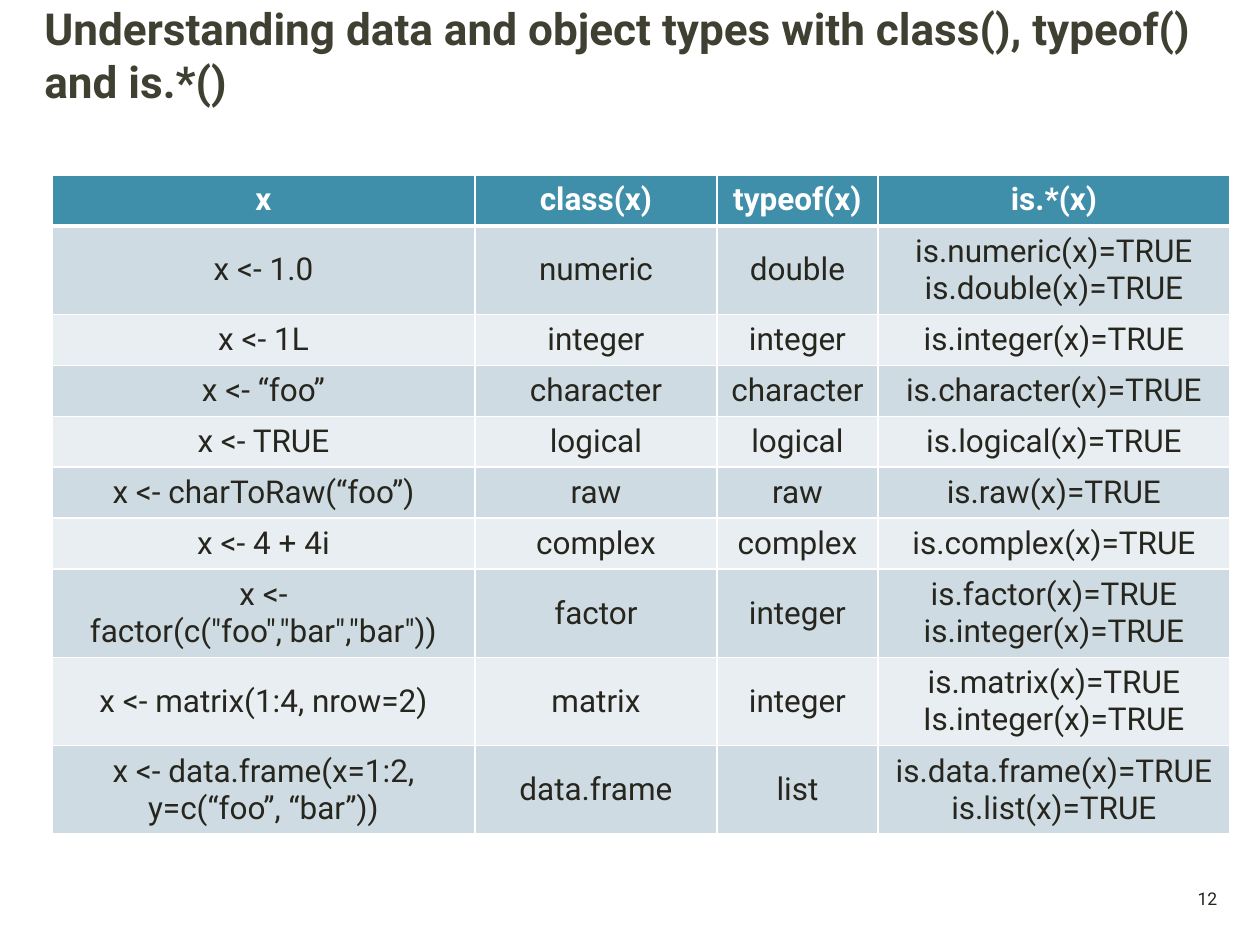
from dataclasses import dataclass

from lxml.etree import SubElement
from pptx import Presentation
from pptx.dml.color import RGBColor
from pptx.enum.text import MSO_ANCHOR, PP_ALIGN
from pptx.oxml.ns import qn
from pptx.util import Emu, Pt

PX_PER_INCH = 126
EMU_PER_PX = 914400 / PX_PER_INCH
FONT = "Roboto"
WHITE = "FFFFFF"
INK = "26261E"
TITLE_INK = "3F3F32"
HEADER_FILL = "3F8FAB"
BAND_FILLS = ("CFDBE2", "E8EEF1")
COLUMN_WIDTHS = (423, 242, 161, 352)
SINGLE_ROW, DOUBLE_ROW = 51, 86


@dataclass(frozen=True)
class TypeRow:
    expression: str
    class_name: str
    type_name: str
    checks: str
    height: int = SINGLE_ROW

    def texts(self) -> tuple[str, ...]:
        return self.expression, self.class_name, self.type_name, self.checks


HEADER = TypeRow("x", "class(x)", "typeof(x)", "is.*(x)")
ROWS = (
    TypeRow("x <- 1.0", "numeric", "double",
            "is.numeric(x)=TRUE\vis.double(x)=TRUE", DOUBLE_ROW),
    TypeRow("x <- 1L", "integer", "integer", "is.integer(x)=TRUE"),
    TypeRow("x <- “foo”", "character", "character", "is.character(x)=TRUE"),
    TypeRow("x <- TRUE", "logical", "logical", "is.logical(x)=TRUE"),
    TypeRow("x <- charToRaw(“foo”)", "raw", "raw", "is.raw(x)=TRUE"),
    TypeRow("x <- 4 + 4i", "complex", "complex", "is.complex(x)=TRUE"),
    TypeRow('x <- factor(c("foo","bar","bar"))', "factor", "integer",
            "is.factor(x)=TRUE\vis.integer(x)=TRUE", DOUBLE_ROW),
    TypeRow("x <- matrix(1:4, nrow=2)", "matrix", "integer",
            "is.matrix(x)=TRUE\nIs.integer(x)=TRUE", DOUBLE_ROW),
    TypeRow("x <- data.frame(x=1:2, y=c(“foo”, “bar”))", "data.frame", "list",
            "is.data.frame(x)=TRUE\nis.list(x)=TRUE", DOUBLE_ROW),
)


def px(length: int) -> Emu:
    return Emu(round(length * EMU_PER_PX))


def color(value: str) -> RGBColor:
    return RGBColor.from_string(value)


def write_text(frame, text: str, *, size: float, ink: str = INK,
               bold: bool = False, align=PP_ALIGN.CENTER) -> None:
    frame.text = text
    frame.word_wrap = True
    for paragraph in frame.paragraphs:
        paragraph.alignment = align
        for run in paragraph.runs:
            run.font.name = FONT
            run.font.size = Pt(size)
            run.font.bold = bold
            run.font.color.rgb = color(ink)


def add_text(slide, text: str, left: int, top: int, width: int, height: int,
             **text_format) -> None:
    shape = slide.shapes.add_textbox(px(left), px(top), px(width), px(height))
    write_text(shape.text_frame, text, **text_format)
    shape.text_frame.vertical_anchor = MSO_ANCHOR.MIDDLE


def set_borders(cell, **points: int) -> None:
    properties = cell._tc.get_or_add_tcPr()
    for side in "LRTB":
        line = SubElement(properties, qn(f"a:ln{side}"), w=str(Pt(points.get(side, 1))))
        fill = SubElement(line, qn("a:solidFill"))
        SubElement(fill, qn("a:srgbClr"), val=WHITE)


def fill_row(table, index: int, row: TypeRow) -> None:
    is_header = index == 0
    table.rows[index].height = px(row.height)
    for column, text in enumerate(row.texts()):
        cell = table.cell(index, column)
        set_borders(cell, T=3 if index == 1 else 1, B=3 if is_header else 1)
        cell.fill.solid()
        cell.fill.fore_color.rgb = color(
            HEADER_FILL if is_header else BAND_FILLS[(index - 1) % 2])
        cell.vertical_anchor = MSO_ANCHOR.TOP if is_header else MSO_ANCHOR.MIDDLE
        write_text(cell.text_frame, text, size=18, bold=is_header,
                   ink=WHITE if is_header else INK)


def add_type_table(slide, left: int, top: int) -> None:
    rows = (HEADER, *ROWS)
    table = slide.shapes.add_table(
        len(rows), len(COLUMN_WIDTHS), px(left), px(top),
        px(sum(COLUMN_WIDTHS)), px(sum(row.height for row in rows))).table
    for column, width in zip(table.columns, COLUMN_WIDTHS):
        column.width = px(width)
    for index, row in enumerate(rows):
        fill_row(table, index, row)


def main() -> None:
    presentation = Presentation()
    presentation.slide_width = px(10 * PX_PER_INCH)
    presentation.slide_height = px(945)
    slide = presentation.slides.add_slide(presentation.slide_layouts[6])
    add_text(slide, "12", 1184, 881, 47, 34, size=10)
    add_text(slide, "Understanding data and object types with class(), typeof() and is.*()",
             32, 15, 1189, 78, size=25.2, ink=TITLE_INK, bold=True, align=PP_ALIGN.LEFT)
    add_type_table(slide, 52, 175)
    presentation.save("out.pptx")


if __name__ == "__main__":
    main()
